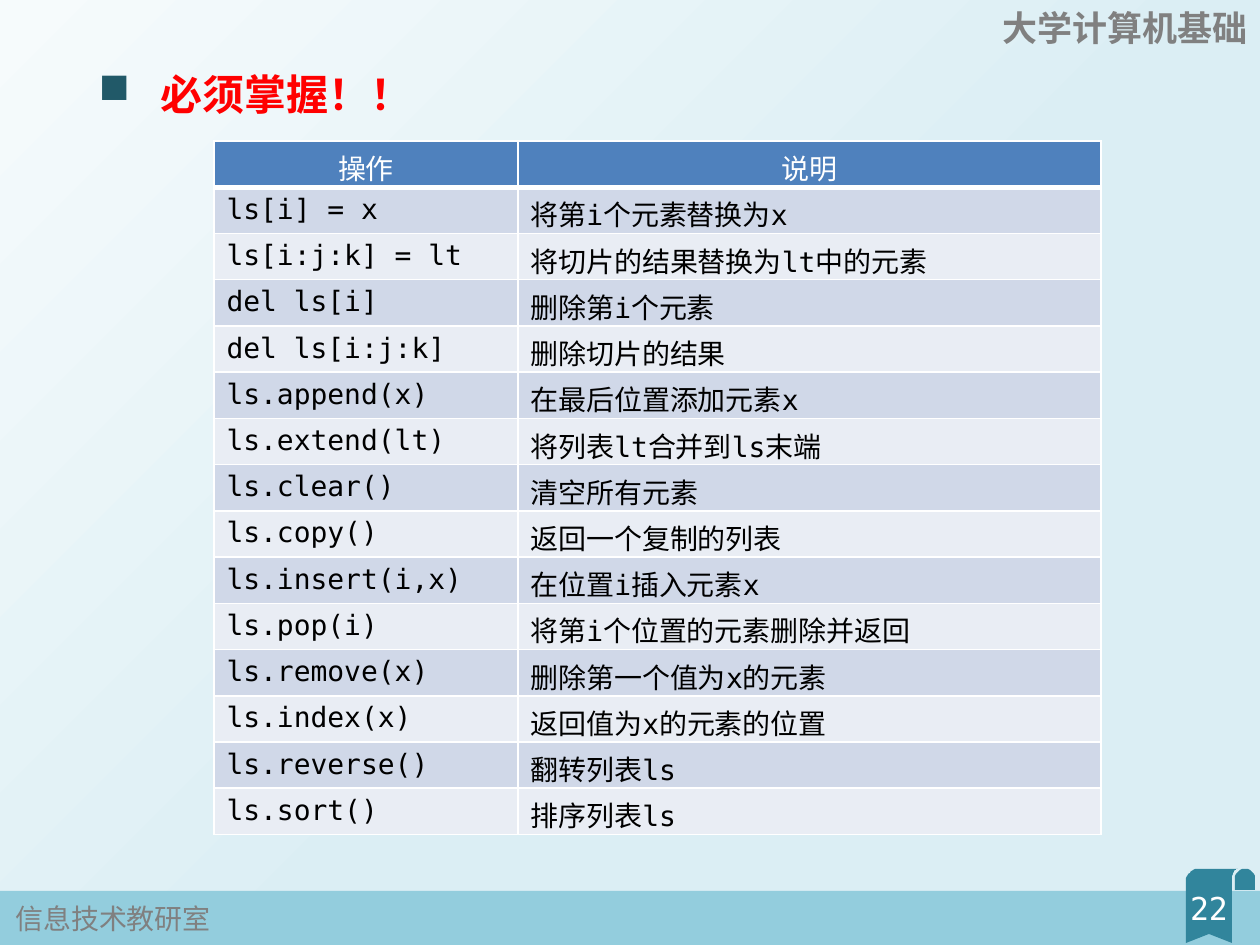
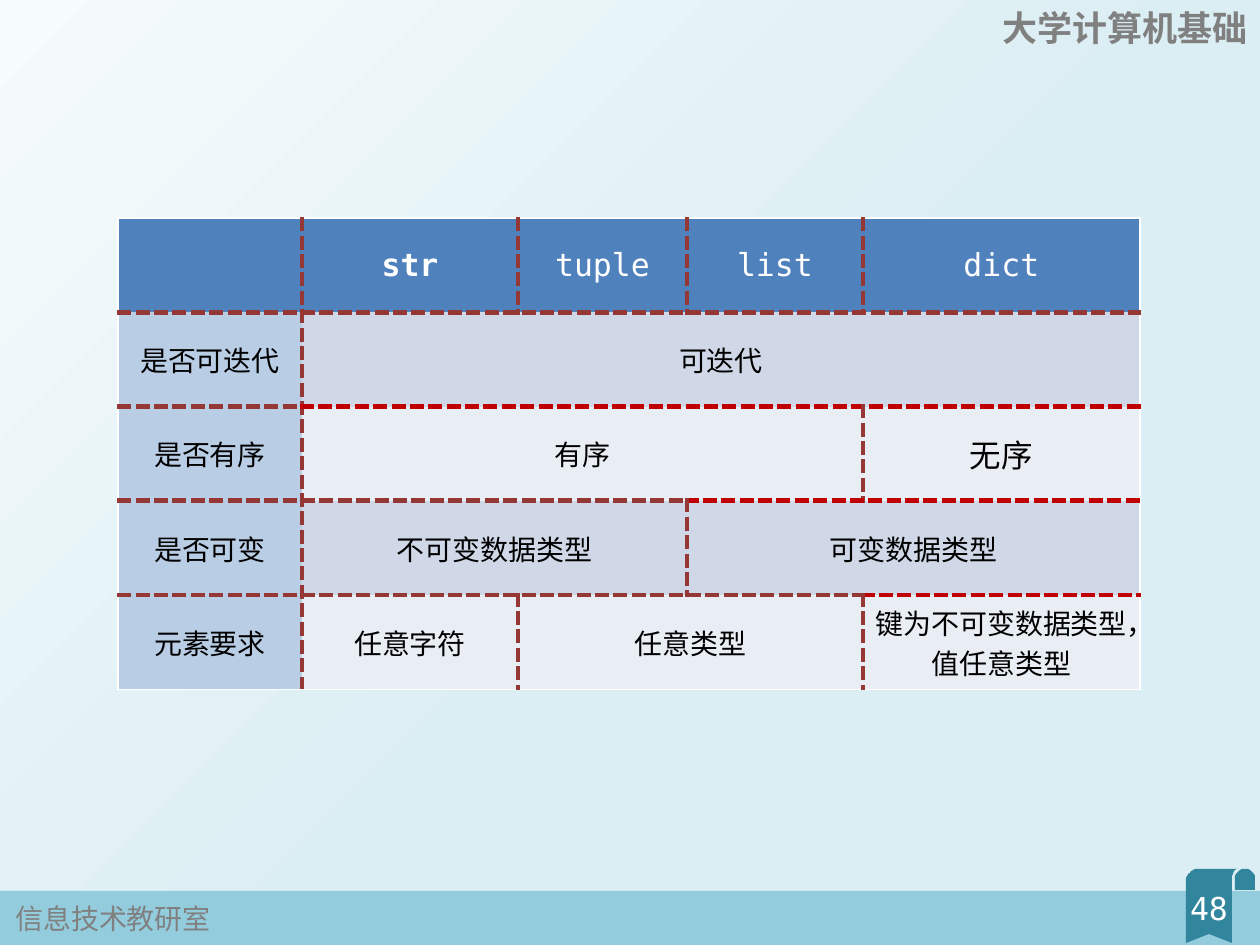
import math

import pptx
import pptx.dml.color
import pptx.enum.shapes
import pptx.enum.text
import pptx.oxml.ns
import pptx.util
from lxml import etree

RGB = pptx.dml.color.RGBColor
ALIGN = pptx.enum.text.PP_ALIGN
ANCHOR = pptx.enum.text.MSO_ANCHOR
Pt = pptx.util.Pt
qn = pptx.oxml.ns.qn

PALE = RGB(0xF6, 0xFB, 0xFC)
SKY = RGB(0xDB, 0xEE, 0xF4)
BAND = RGB(0x93, 0xCD, 0xDD)
TEAL = RGB(0x31, 0x85, 0x9C)
DEEP = RGB(0x21, 0x59, 0x68)
GREY = RGB(0x80, 0x80, 0x80)
WHITE = RGB(0xFF, 0xFF, 0xFF)
BLACK = RGB(0, 0, 0)
RED = RGB(0xFF, 0, 0)
BLUE = RGB(0x4F, 0x81, 0xBD)
SIDE = RGB(0xB9, 0xCD, 0xE5)
STRIPES = RGB(0xD0, 0xD8, 0xE8), RGB(0xE9, 0xED, 0xF4)
BROWN = RGB(0x95, 0x37, 0x35)
CRIMSON = RGB(0xC0, 0, 0)

MONO = "DejaVu Sans Mono"
HAN = "Noto Sans CJK JP"
SCALE = 914400 / 126
WIDE, HIGH = 1260, 945

THIN = WHITE, 1, None
THICK = WHITE, 3, None
DASH = BROWN, 3, "sysDash"
ALERT = CRIMSON, 3, "sysDash"

METHODS = [
    ("操作", "说明"),
    ("ls[i] = x", "将第i个元素替换为x"),
    ("ls[i:j:k] = lt", "将切片的结果替换为lt中的元素"),
    ("del ls[i]", "删除第i个元素"),
    ("del ls[i:j:k]", "删除切片的结果"),
    ("ls.append(x)", "在最后位置添加元素x"),
    ("ls.extend(lt)", "将列表lt合并到ls末端"),
    ("ls.clear()", "清空所有元素"),
    ("ls.copy()", "返回一个复制的列表"),
    ("ls.insert(i,x)", "在位置i插入元素x"),
    ("ls.pop(i)", "将第i个位置的元素删除并返回"),
    ("ls.remove(x)", "删除第一个值为x的元素"),
    ("ls.index(x)", "返回值为x的元素的位置"),
    ("ls.reverse()", "翻转列表ls"),
    ("ls.sort()", "排序列表ls"),
]
# Each entry is a text and the number of columns it covers.
TYPES = [
    [("", 1), ("str", 1), ("tuple", 1), ("list", 1), ("dict", 1)],
    [("是否可迭代", 1), ("可迭代", 4)],
    [("是否有序", 1), ("有序", 3), ("无序", 1)],
    [("是否可变", 1), ("不可变数据类型", 2), ("可变数据类型", 2)],
    [("元素要求", 1), ("任意字符", 1), ("任意类型", 2),
     ("键为不可变数据类型，值任意类型", 1)],
]
# First column from which the line under a row is crimson.
ALERTS = {1: 1, 2: 3, 3: 4}


def px(*sizes):
    """Turn pixels into a list of EMU lengths."""
    return [pptx.util.Emu(round(size * SCALE)) for size in sizes]


def write(frame, text, size, color, align=ALIGN.LEFT, bold=False, face=MONO):
    """Put one formatted paragraph into a text frame."""
    para = frame.paragraphs[0]
    para.text = text
    para.alignment = align
    font = para.font
    font.name, font.size, font.bold = face, Pt(size), bold
    font.color.rgb = color
    return para


def label(slide, box, text, size, color, **look):
    """Add a wrapped text box."""
    frame = slide.shapes.add_textbox(*px(*box)).text_frame
    frame.word_wrap = True
    write(frame, text, size, color, **look)


def paint(shape, color):
    """Give a shape a plain fill with no line or shadow."""
    shape.shadow.inherit = False
    shape.fill.solid()
    shape.fill.fore_color.rgb = color
    shape.line.fill.background()


def arc(x, y, wide, high, start, stop):
    """List points on an ellipse, with angles in degrees."""
    turns = [math.radians(start + (stop - start) * i / 12) for i in range(13)]
    return [(x + wide * math.cos(a), y - high * math.sin(a)) for a in turns]


def ribbon(slide, left, top):
    """Draw the page-number ribbon and its rolled end."""
    flag = ([(0, 74), *arc(12, 12, 12, 12, 180, 90)]
            + arc(52, 11, 6, 11, 90, 180) + [(46, 74), (23, 65)])
    roll = [(49, 21), *arc(59, 10, 10, 10, 180, 0), (69, 21)]
    build = None
    for points in (flag, roll):
        spots = [(left + x, top + y) for x, y in points]
        if build is None:
            build = slide.shapes.build_freeform(*spots[0], scale=SCALE)
        else:
            build.move_to(*spots[0])
        build.add_line_segments(spots[1:], close=True)
    paint(build.convert_to_shape(), TEAL)


def frame(slide, page):
    """Draw the course name, footer band and page number."""
    rect = pptx.enum.shapes.MSO_SHAPE.RECTANGLE
    paint(slide.shapes.add_shape(rect, *px(0, 891, WIDE, 54)), BAND)
    ribbon(slide, 1186, 869)
    label(slide, (3, 895, 223, 47), "信息技术教研室", 16, GREY, face=HAN)
    label(slide, (987, 0, 273, 55), "大学计算机基础", 20, GREY,
          align=ALIGN.RIGHT, bold=True, face=HAN)
    label(slide, (1164, 883, 90, 50), str(page), 18, WHITE,
          align=ALIGN.CENTER)


def head(slide, box, text):
    """Place the title as a bulleted line."""
    title = slide.shapes.title
    title.left, title.top, title.width, title.height = px(*box)
    body = title.text_frame
    body.auto_size = pptx.enum.text.MSO_AUTO_SIZE.NONE
    body.vertical_anchor = ANCHOR.TOP
    para = body.paragraphs[0]
    para.line_spacing, para.space_before = 1.2, Pt(10)
    props = para._p.get_or_add_pPr()
    indent = px(62)[0]
    props.set("marL", str(indent))
    props.set("indent", str(-indent))
    tint = etree.SubElement(props, qn("a:buClr"))
    etree.SubElement(tint, qn("a:srgbClr"), val=str(DEEP))
    etree.SubElement(props, qn("a:buChar"), char="■")
    write(body, text, 24, RED, bold=True)


def grid(slide, left, top, cols, rows, high):
    """Add a table without style bands and return it."""
    shape = slide.shapes.add_table(
        rows, len(cols), *px(left, top, sum(cols), rows * high))
    table = shape.table
    table.first_row = table.horz_banding = False
    for col, wide in zip(table.columns, cols):
        col.width = px(wide)[0]
    for row in table.rows:
        row.height = px(high)[0]
    return table


def finish(cell, color, **edges):
    """Draw the given edges (L, R, T, B in order), then fill the cell."""
    props = cell._tc.get_or_add_tcPr()
    for side, (tint, width, dash) in edges.items():
        line = etree.SubElement(props, qn("a:ln" + side), w=str(Pt(width)))
        solid = etree.SubElement(line, qn("a:solidFill"))
        etree.SubElement(solid, qn("a:srgbClr"), val=str(tint))
        if dash:
            etree.SubElement(line, qn("a:prstDash"), val=dash)
    cell.fill.solid()
    cell.fill.fore_color.rgb = color


def methods(slide, left, top):
    """Draw the two-column list of operations."""
    table = grid(slide, left, top, (304, 583), len(METHODS), 46.2)
    for r, texts in enumerate(METHODS):
        for c, text in enumerate(texts):
            cell = table.cell(r, c)
            write(cell.text_frame, text, 16, BLACK if r else WHITE,
                  align=ALIGN.LEFT if r else ALIGN.CENTER)
            finish(cell, STRIPES[(r - 1) % 2] if r else BLUE,
                   L=THIN, R=THIN, T=THIN, B=THIN if r else THICK)


def under(row, col):
    """Choose the line below a cell of the type table."""
    if row in (-1, len(TYPES) - 1):
        return THIN
    return ALERT if col >= ALERTS.get(row, 9) else DASH


def types(slide, left, top):
    """Draw the comparison of types with merged cells."""
    cols = 184, 216, 169, 176, 277
    table = grid(slide, left, top, cols, len(TYPES), 94.3)
    for r, entries in enumerate(TYPES):
        c = 0
        for text, span in entries:
            color = SIDE if c == 0 else STRIPES[(r - 1) % 2]
            end = c + span
            for k in range(c, end):
                finish(table.cell(r, k), color if r else BLUE,
                       L=DASH if c else THIN,
                       R=DASH if end < len(cols) else THIN,
                       T=under(r - 1, k), B=under(r, k))
            cell = table.cell(r, c)
            if span > 1:
                cell.merge(table.cell(r, end - 1))
            cell.vertical_anchor = ANCHOR.MIDDLE
            if text:
                write(cell.text_frame, text,
                      18 if r == 0 or text == "无序" else 16,
                      BLACK if r else WHITE, align=ALIGN.CENTER,
                      bold=text == "str")
            c = end


def backdrop(deck):
    """Set the shared gradient on the slide master."""
    fill = deck.slide_master.background.fill
    fill.gradient()
    fill.gradient_angle = 315
    for stop, color, place in zip(fill.gradient_stops, (PALE, SKY), (0, 0.56)):
        stop.color.rgb, stop.position = color, place


def main():
    """Build both slides and save them."""
    deck = pptx.Presentation()
    deck.slide_width, deck.slide_height = px(WIDE, HIGH)
    backdrop(deck)

    first = deck.slides.add_slide(deck.slide_layouts[5])
    frame(first, 22)
    head(first, (86, 52, 1086, 64), "必须掌握！！")
    methods(first, 214, 141)

    second = deck.slides.add_slide(deck.slide_layouts[6])
    frame(second, 48)
    types(second, 118, 218)

    deck.save("out.pptx")


main()
